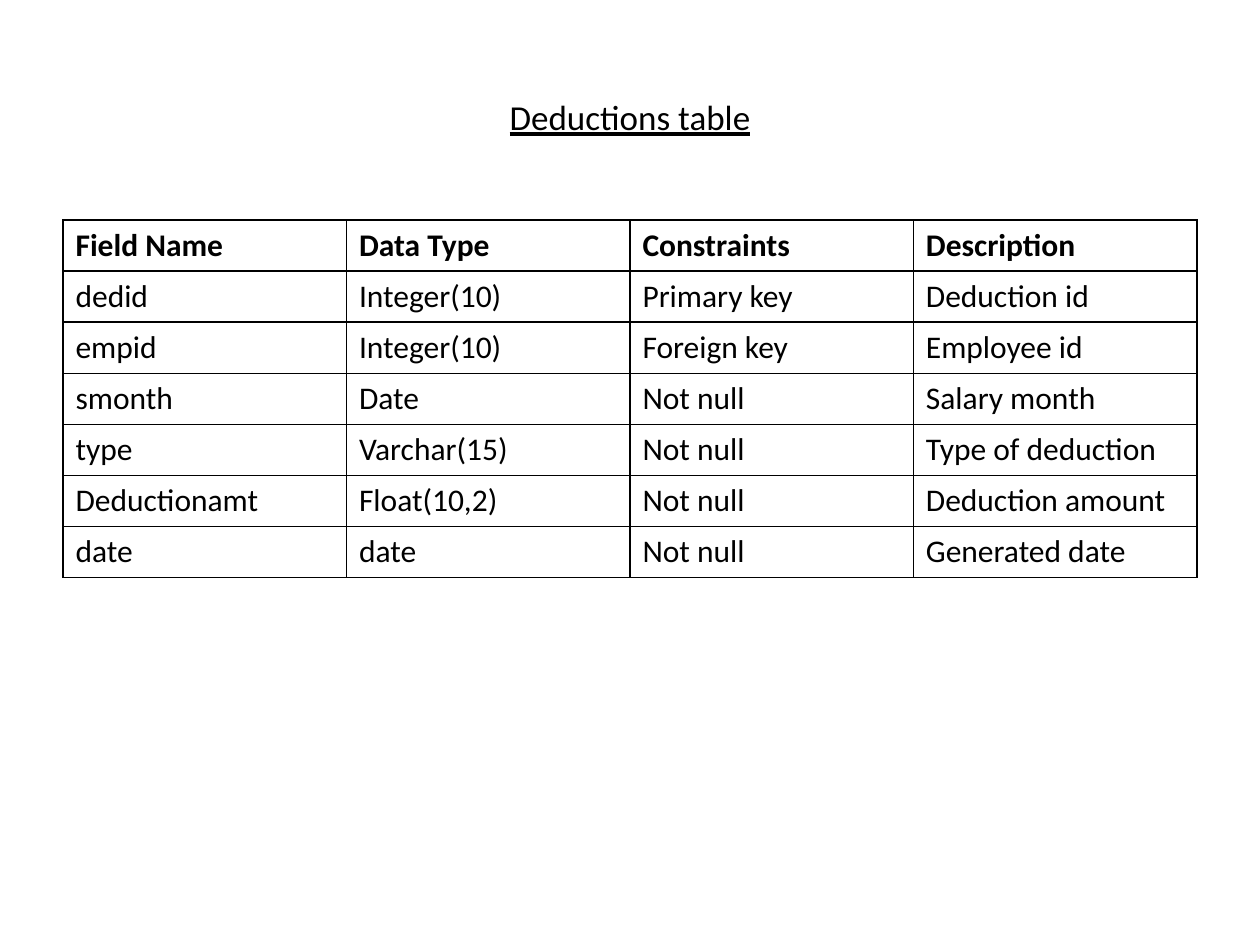
from dataclasses import dataclass
from lxml.etree import SubElement
from pptx import Presentation
from pptx.dml.color import RGBColor
from pptx.enum.text import MSO_ANCHOR as Anchor, PP_ALIGN as Align
from pptx.oxml.ns import qn
from pptx.util import Emu, Pt


@dataclass(frozen=True)
class Theme:
    font: str = "Calibri"
    ink: str = "000000"
    paper: str = "FFFFFF"
    title_size: int = 20
    cell_size: int = 18
    border: int = 1


theme = Theme()
EMU_PER_PX = 914400 // 126


def px(count):
    return Emu(count * EMU_PER_PX)


def add_run(paragraph, text, size, bold=False, underline=False):
    run = paragraph.add_run()
    run.text = text
    font = run.font
    font.name, font.size = theme.font, Pt(size)
    font.bold, font.underline = bold, underline
    font.color.rgb = RGBColor.from_string(theme.ink)


deck = Presentation()
deck.slide_width, deck.slide_height = px(1260), px(945)
slide = deck.slides.add_slide(deck.slide_layouts[5])
slide.background.fill.solid()
slide.background.fill.fore_color.rgb = RGBColor.from_string(theme.paper)

heading = slide.shapes.title
heading.left, heading.top, heading.width, heading.height = map(px, (63, 38, 1134, 157))
heading.text_frame.vertical_anchor = Anchor.MIDDLE
heading_line = heading.text_frame.paragraphs[0]
heading_line.alignment = Align.CENTER
add_run(heading_line, "Deductions table", theme.title_size, underline=True)

fields = [
    ("Field Name", "Data Type", "Constraints", "Description"),
    ("dedid", "Integer(10)", "Primary key", "Deduction id"),
    ("empid", "Integer(10)", "Foreign key", "Employee id "),
    ("smonth", "Date", "Not null", "Salary month"),
    ("type", "Varchar(15)", "Not null", "Type of deduction"),
    ("Deductionamt", "Float(10,2)", "Not null", "Deduction amount"),
    ("date", "date", "Not null", "Generated date"),
]
schema = slide.shapes.add_table(
    len(fields), len(fields[0]), px(63), px(220), px(1134), px(358)
).table
schema.horz_banding = False

for row_index, field in enumerate(fields):
    for column_index, entry in enumerate(field):
        cell = schema.cell(row_index, column_index)
        add_run(cell.text_frame.paragraphs[0], entry, theme.cell_size, bold=row_index == 0)
        properties = cell._tc.get_or_add_tcPr()
        for side in ("a:lnL", "a:lnR", "a:lnT", "a:lnB"):
            edge = SubElement(properties, qn(side), w=str(Pt(theme.border)))
            edge_fill = SubElement(edge, qn("a:solidFill"))
            SubElement(edge_fill, qn("a:srgbClr"), val=theme.ink)
        cell.fill.background()

deck.save("out.pptx")
